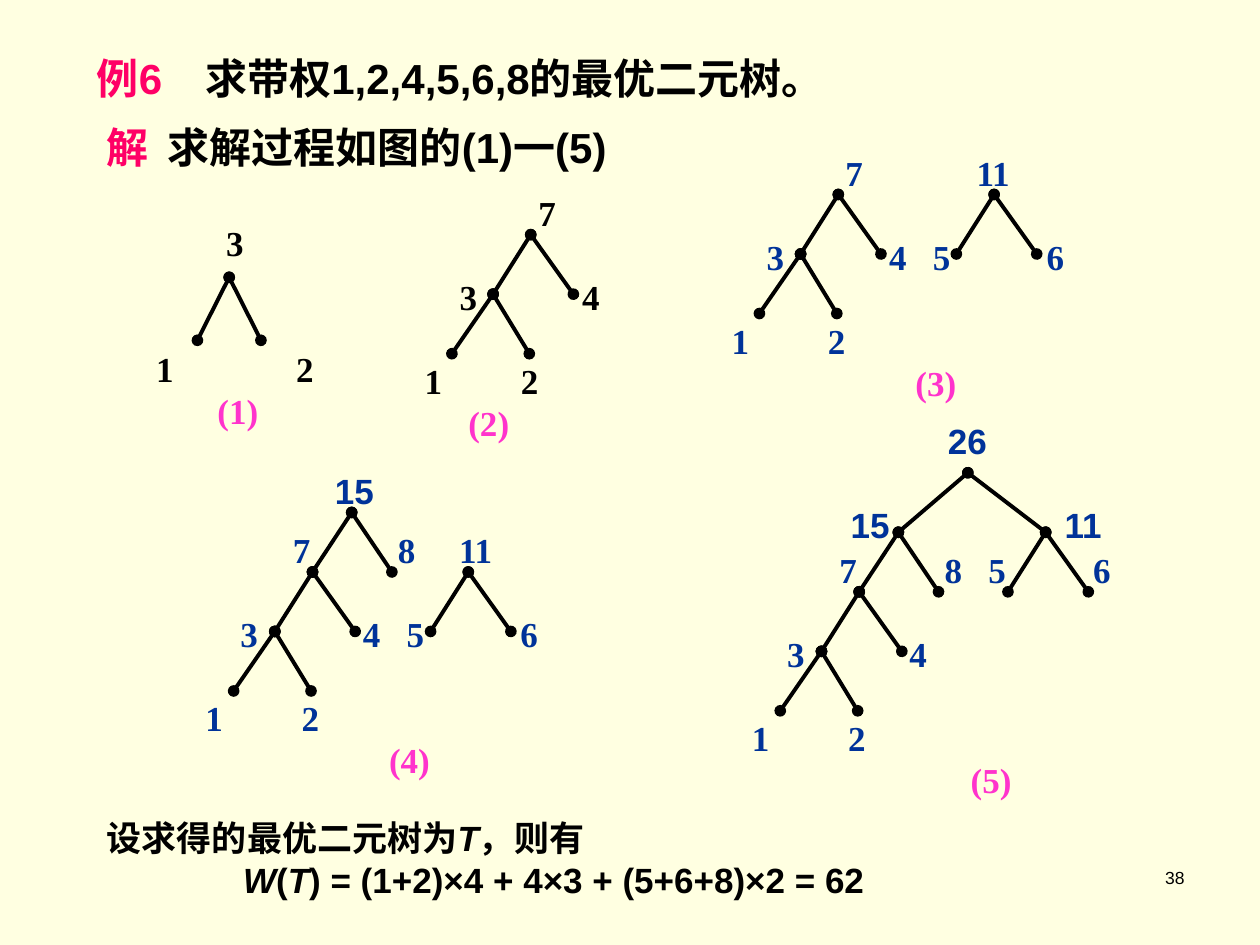
from lxml.etree import SubElement
from pptx import Presentation
from pptx.dml.color import RGBColor
from pptx.enum.shapes import MSO_CONNECTOR
from pptx.enum.text import MSO_ANCHOR, MSO_AUTO_SIZE, PP_ALIGN
from pptx.oxml.ns import qn
from pptx.util import Cm, Pt

HUES = {"paper": "FFFFE1", "ink": "000000", "blue": "003399",
        "rose": "FF0066", "pink": "FF33CC"}
STEP = 1.2
PITCH = 24


def write(frame, rows, size=20, font="Times New Roman", hue="ink", bold=True,
          align=PP_ALIGN.LEFT, pitch=None):
    frame.word_wrap = True
    frame.auto_size = MSO_AUTO_SIZE.NONE
    frame.vertical_anchor = MSO_ANCHOR.TOP
    for i, row in enumerate(rows):
        para = frame.paragraphs[0] if i == 0 else frame.add_paragraph()
        para.alignment = align
        para.space_before = Pt(0)
        if pitch:
            para.line_spacing = Pt(pitch)
        props = para._p.get_or_add_pPr()
        if "indent" in row:
            props.set("marL", str(Pt(row["indent"])))
            props.set("indent", "0")
            SubElement(props, qn("a:buNone"))
        if "stop" in row:
            tabs = SubElement(props, qn("a:tabLst"))
            SubElement(tabs, qn("a:tab"), pos=str(Pt(row["stop"])), algn="l")
        for words, style in row["runs"]:
            run = para.add_run()
            run.text = words
            run.font.name = font
            run.font.size = Pt(size)
            run.font.bold = bold
            run.font.italic = style == "italic"
            run.font.color.rgb = RGBColor.from_string(HUES[style if style in HUES else hue])


def line(*runs, **extra):
    return {"runs": runs, **extra}


class Board:
    def __init__(self, slide):
        self.slide = slide
        self.ink = RGBColor.from_string(HUES["ink"])
        back = slide.background.fill
        back.solid()
        back.fore_color.rgb = RGBColor.from_string(HUES["paper"])

    def hold(self, index, box, rows, **style):
        shape = self.slide.placeholders[index]
        shape.left, shape.top, shape.width, shape.height = map(Cm, box)
        write(shape.text_frame, rows, **style)

    def text(self, box, rows, **style):
        shape = self.slide.shapes.add_textbox(*map(Cm, box))
        write(shape.text_frame, rows, **style)

    def marks(self, x, y, rows, **style):
        for level, row in rows.items():
            for shift, words in row.items():
                left = x + Pt(shift).cm
                top = y + Pt(level * PITCH).cm
                self.text((left, top, 1.5, 1.12), [line((words, None))],
                          pitch=PITCH, **style)

    def edge(self, x, y, to_x, to_y):
        edge = self.slide.shapes.add_connector(
            MSO_CONNECTOR.STRAIGHT, Cm(x), Cm(y), Cm(to_x), Cm(to_y))
        edge.line.width = Pt(2.25)
        edge.line.color.rgb = self.ink
        stroke = edge.line._get_or_add_ln()
        for end in ("a:headEnd", "a:tailEnd"):
            SubElement(stroke, qn(end), type="oval")
        SubElement(edge._element.spPr, qn("a:effectLst"))

    def fork(self, x, y, left=0.76, right=0.86, drop=STEP):
        self.edge(x, y, x - left, y + drop)
        self.edge(x, y, x + right, y + drop)

    def seven(self, x, y):
        self.fork(x, y)
        self.fork(x - 0.76, y + STEP, 0.83, 0.73)

    def fifteen(self, x, y):
        self.fork(x, y, 0.79, 0.81)
        self.seven(x - 0.79, y + STEP)


def main():
    deck = Presentation()
    deck.slide_width, deck.slide_height = Cm(25.4), Cm(19.05)
    board = Board(deck.slides.add_slide(deck.slide_layouts[1]))

    board.hold(0, (1.7, 0.93, 15.6, 1.27), [
        line(("例6", "rose"), ("\t求带权1,2,4,5,6,8的最优二元树。", None), stop=62)],
        size=24, font="Arial")
    board.text((1.9, 2.33, 16.66, 1.27), [
        line(("解", "rose"), ("\t求解过程如图的(1)一(5)", None), stop=35)],
        size=24, font="Arial")
    board.hold(1, (1.9, 16.33, 20.8, 1.96), [
        line(("设求得的最优二元树为", None), ("T", "italic"), ("，则有", None), indent=0),
        line(("W", "italic"), ("(", None), ("T", "italic"),
             (") = (1+2)×4 + 4×3 + (5+6+8)×2 = 62", None), indent=77.8)],
        font="Arial")
    board.text((18.85, 17.35, 5.28, 1.27), [line(("38", None))],
               size=10, font="Arial", bold=False, align=PP_ALIGN.RIGHT)

    board.fork(4.62, 5.59, 0.64, 0.64, 1.27)
    board.seven(10.7, 4.73)
    board.seven(16.9, 3.92)
    board.fork(20.04, 3.92)
    board.fifteen(7.09, 10.33)
    board.fork(9.44, 11.53)
    board.fifteen(18.11, 10.73)
    board.fork(21.08, 10.73)
    board.fork(19.51, 9.53, 1.4, 1.57)

    pair = {20: "3", 90: "4"}
    both = {**pair, 115: "5", 180: "6"}
    leaves = {0: "1", 55: "2"}
    figures = [
        (2.9, 4.34, "ink", 35, 4, {0: {40: "3"}, 3: {0: "1", 80: "2"}}),
        (8.31, 3.73, "ink", 25, 5, {0: {65: "7"}, 2: pair, 4: leaves}),
        (14.5, 2.92, "blue", 105, 5,
         {0: {65: "7", 140: "11"}, 2: both, 4: leaves}),
        (3.89, 10.52, "blue", 105, 5,
         {0: {50: "7", 110: "8", 145: "11"}, 2: both, 4: leaves}),
        (14.91, 10.94, "blue", 125, 5,
         {0: {50: "7", 110: "8", 135: "5", 195: "6"}, 2: pair, 4: leaves}),
    ]
    for number, (x, y, hue, shift, level, rows) in enumerate(figures, 1):
        board.marks(x, y, rows, hue=hue)
        board.marks(x, y, {level: {shift: f"({number})"}}, hue="pink")

    board.marks(6.5, 9.34, {0: {0: "15"}}, font="Arial", hue="blue")
    board.marks(16.9, 8.33, {0: {55.6: "26"}, 2: {0: "15", 122.3: "11"}},
                font="Arial", hue="blue")

    deck.save("out.pptx")


if __name__ == "__main__":
    main()
